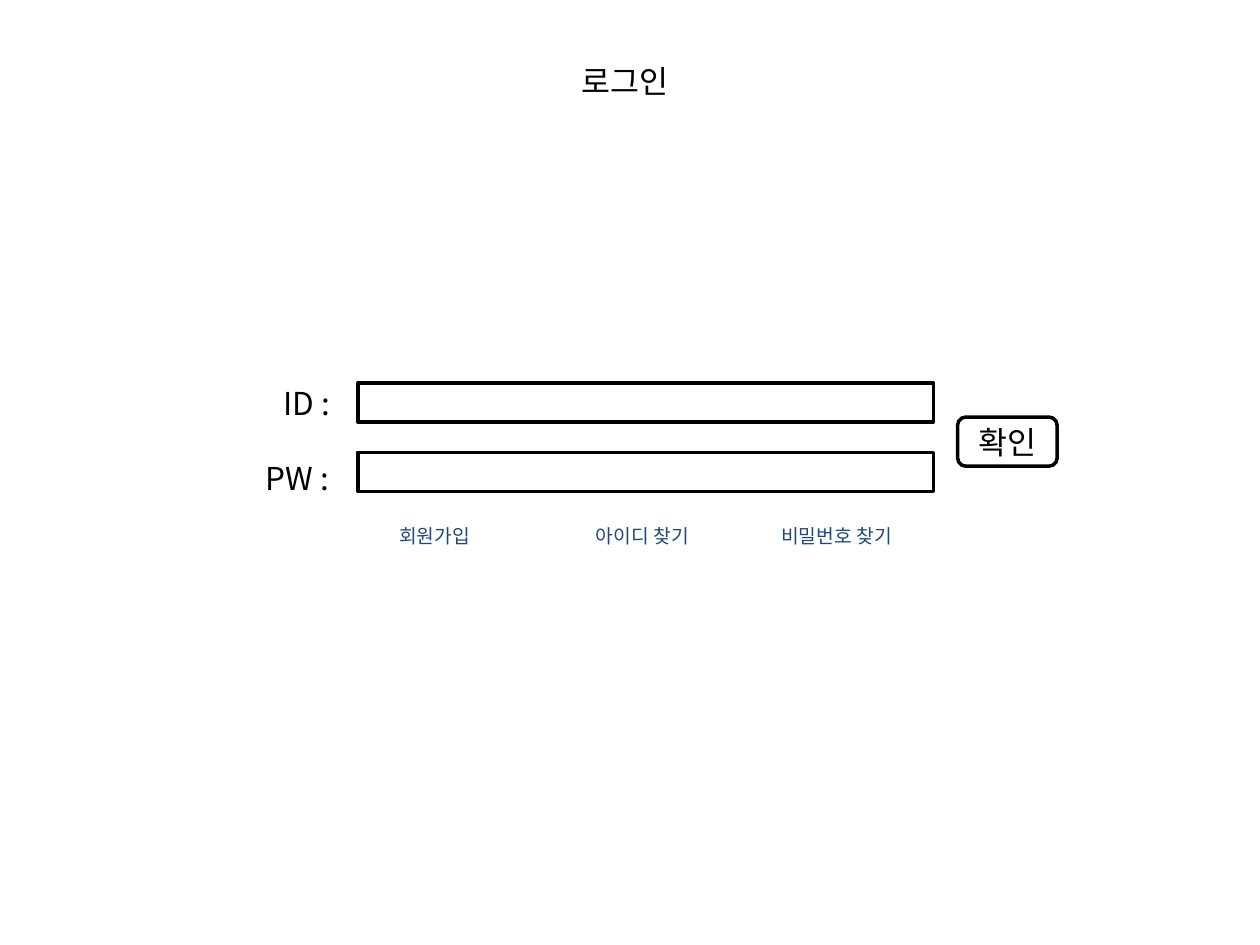
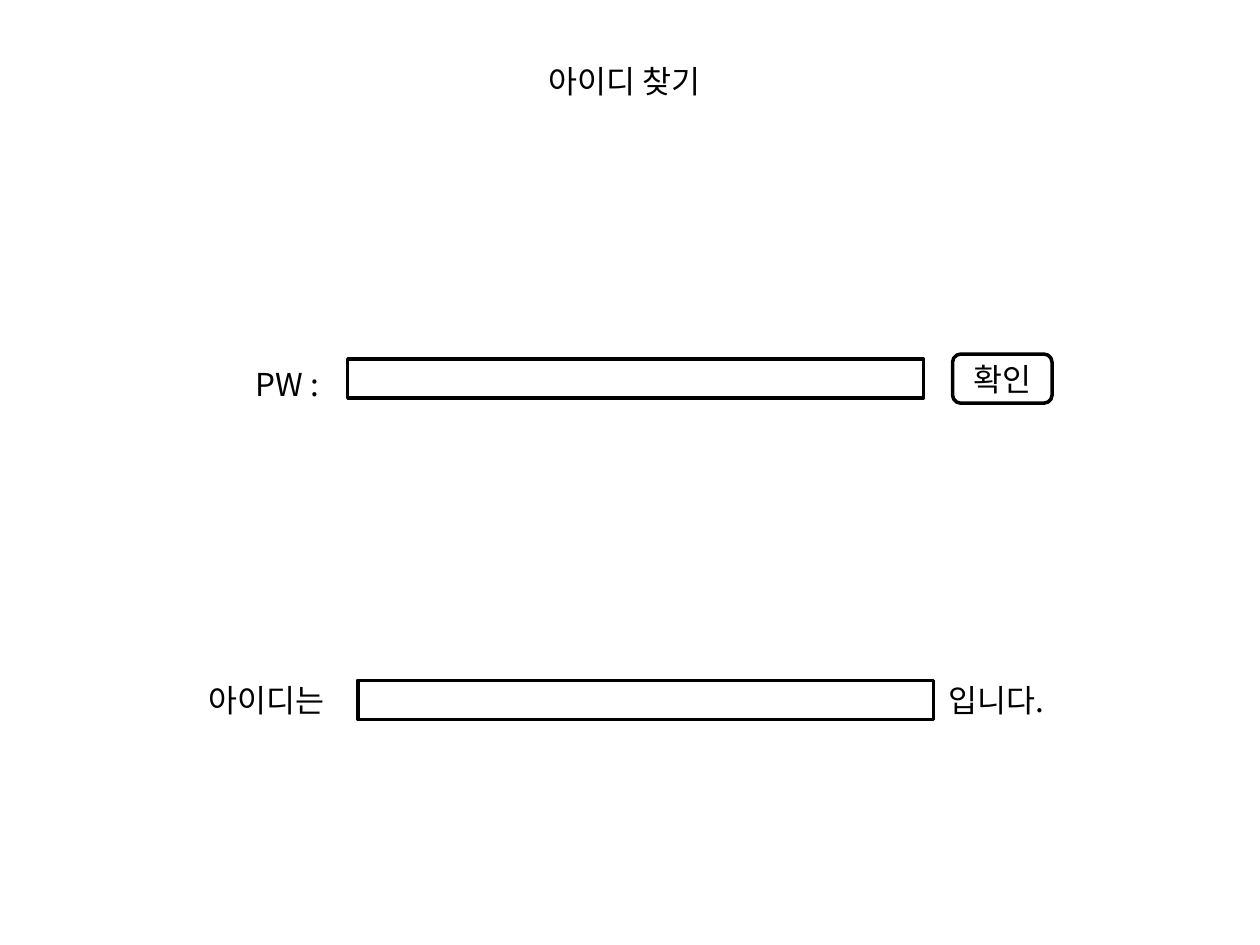
from lxml.etree import SubElement
from pptx import Presentation
from pptx.dml.color import RGBColor
from pptx.enum.shapes import MSO_SHAPE as Shape
from pptx.enum.text import MSO_ANCHOR as Anchor, MSO_AUTO_SIZE as AutoSize, PP_ALIGN as Align
from pptx.oxml.ns import qn
from pptx.util import Inches, Pt

FONT = "Noto Sans CJK KR"
BLACK, WHITE, LINK_BLUE = "000000", "FFFFFF", "1F497D"
TITLE_AREA = (3.11, 0.44, 3.7, 0.4)
FIELD_SIZE = (4.57, 0.31)
BUTTON_SIZE = (0.79, 0.39)
LABEL_HEIGHT = 0.4
LINK_TOP, LINK_HEIGHT = 4.11, 0.29

SCREENS = [
    {
        "title": "로그인",
        "fields": [(2.84, 3.04), (2.84, 3.59)],
        "labels": [("ID :", 2.15, 3.0, 0.6, False), ("PW :", 2.01, 3.59, 0.74, False)],
        "button": ("확인", 7.6, 3.31),
        "links": [("회원가입", 2.84, 1.22), ("아이디 찾기", 4.33, 1.54), ("비밀번호 찾기", 5.87, 1.54)],
    },
    {
        "title": "아이디 찾기",
        "fields": [(2.76, 2.85), (2.84, 5.4)],
        "labels": [
            ("PW :", 1.93, 2.85, 0.74, False),
            ("아이디는", 1.56, 5.36, 1.28, True),
            ("입니다.", 7.43, 5.36, 2.06, True),
        ],
        "button": ("확인", 7.56, 2.81),
        "links": [],
    },
]


def color(value):
    return RGBColor.from_string(value)


def lengths(*values):
    return [Inches(value) for value in values]


def write(box, text, size=18, ink=BLACK, align=Align.LEFT, anchor=Anchor.TOP,
          wrap=True, fit=AutoSize.SHAPE_TO_FIT_TEXT):
    frame = box.text_frame
    frame.word_wrap = wrap
    frame.auto_size = fit
    frame.vertical_anchor = anchor
    para = frame.paragraphs[0]
    para.alignment = align
    span = para.add_run()
    span.text = text
    span.font.size = Pt(size)
    span.font.name = FONT
    span.font.color.rgb = color(ink)
    SubElement(span.font._element, qn("a:ea"), typeface=FONT)


def add_title(page, text):
    title = page.shapes.title
    title.left, title.top, title.width, title.height = lengths(*TITLE_AREA)
    write(title, text, align=Align.CENTER)


def add_outline(page, kind, left, top, size):
    shape = page.shapes.add_shape(kind, *lengths(left, top, *size))
    shape.shadow.inherit = False
    shape.fill.solid()
    shape.fill.fore_color.rgb = color(WHITE)
    shape.line.color.rgb = color(BLACK)
    shape.line.width = Pt(2)
    return shape


def add_text(page, text, left, top, width, height, **style):
    box = page.shapes.add_textbox(*lengths(left, top, width, height))
    write(box, text, **style)


def add_screen(deck, screen):
    page = deck.slides.add_slide(deck.slide_layouts[5])
    add_title(page, screen["title"])
    for left, top in screen["fields"]:
        add_outline(page, Shape.RECTANGLE, left, top, FIELD_SIZE)
    for text, left, top, width, wrap in screen["labels"]:
        add_text(page, text, left, top, width, LABEL_HEIGHT, wrap=wrap)
    text, left, top = screen["button"]
    button = add_outline(page, Shape.ROUNDED_RECTANGLE, left, top, BUTTON_SIZE)
    write(button, text, align=Align.CENTER, anchor=Anchor.MIDDLE, fit=AutoSize.NONE)
    for text, left, width in screen["links"]:
        add_text(page, text, left, LINK_TOP, width, LINK_HEIGHT,
                 size=11, ink=LINK_BLUE, align=Align.CENTER)


def main():
    deck = Presentation()
    deck.slide_width, deck.slide_height = lengths(10, 7.5)
    for screen in SCREENS:
        add_screen(deck, screen)
    deck.save("out.pptx")


if __name__ == "__main__":
    main()
